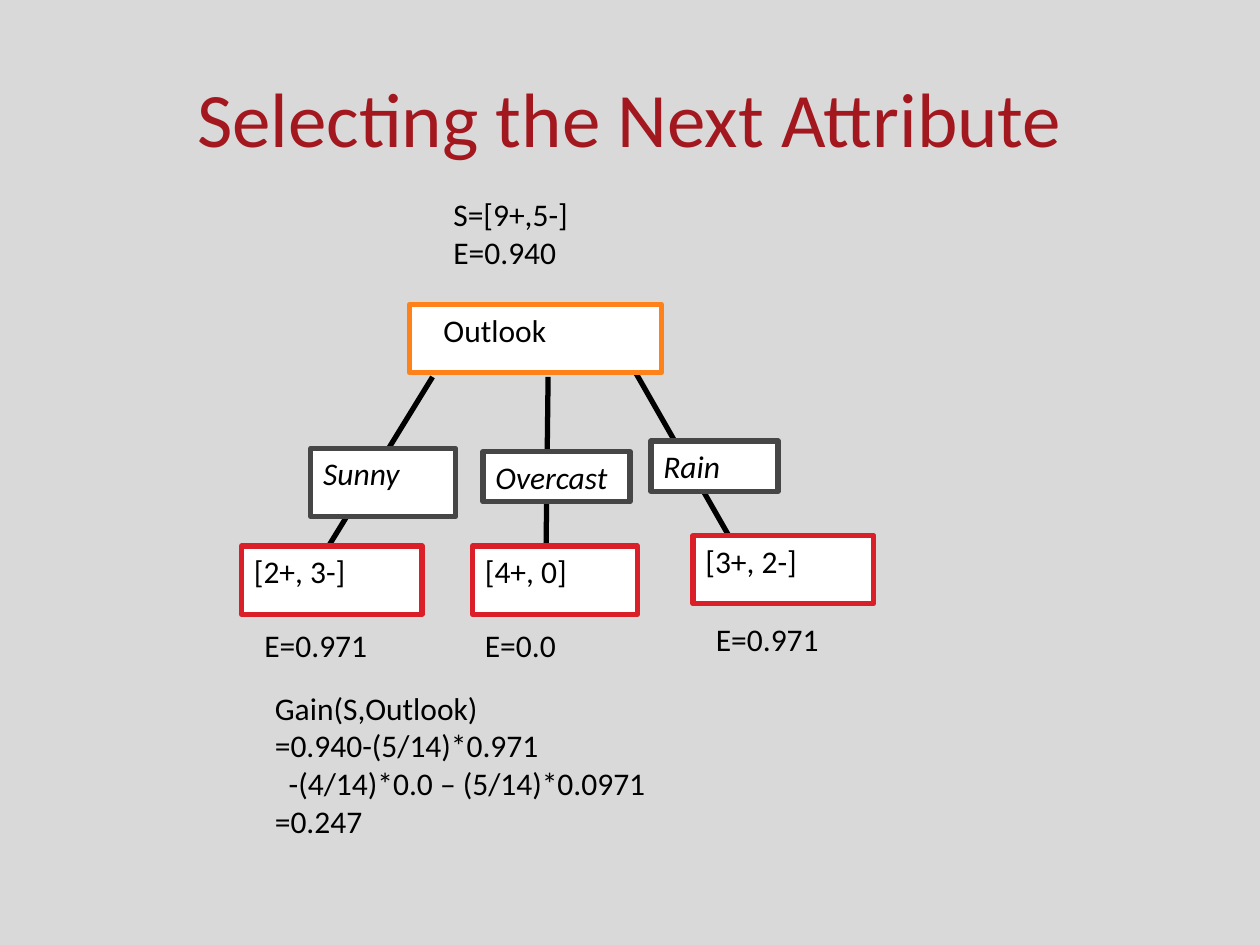
from pptx import Presentation
from pptx.dml.color import RGBColor
from pptx.enum.shapes import MSO_CONNECTOR, MSO_SHAPE
from pptx.enum.text import MSO_ANCHOR, PP_ALIGN
from pptx.oxml.ns import qn
from pptx.util import Inches, Pt
from lxml import etree

STRAIGHT = MSO_CONNECTOR.STRAIGHT
RECTANGLE = MSO_SHAPE.RECTANGLE
TOP, MIDDLE = MSO_ANCHOR.TOP, MSO_ANCHOR.MIDDLE
LEFT, CENTER = PP_ALIGN.LEFT, PP_ALIGN.CENTER
TITLE_ONLY = 5
FONT = "Calibri"
CELLS_PER_INCH = 12
NODE_HEIGHT, LABEL_HEIGHT = 6.5, 4.8
COLORS = {
    "background": "D9D9D9",
    "title": "A3171E",
    "text": "000000",
    "edge": "000000",
    "fill": "FFFFFF",
    "attribute": "FF8119",
    "value": "464646",
    "leaf": "DA1F28",
}
BRANCHES = [
    {
        "edge": (41.2, 35.9, 31.3, 52),
        "value": ("Sunny", (29.6, 42.7, 13.8, NODE_HEIGHT)),
        "leaf": ("[2+, 3-]", (23, 52, 17.2, NODE_HEIGHT)),
        "entropy": ("E=0.971", (24, 60, 18, 4.5), 0.7),
    },
    {
        "edge": (52.2, 35.9, 52, 53),
        "value": ("Overcast", (46, 43, 14, LABEL_HEIGHT)),
        "leaf": ("[4+, 0]", (45, 52, 15.7, NODE_HEIGHT)),
        "entropy": ("E=0.0", (45, 60, 18, 4.5), 0.7),
    },
    {
        "edge": (60.2, 34.9, 69.4, 51),
        "value": ("Rain", (62, 42, 12.1, LABEL_HEIGHT)),
        "leaf": ("[3+, 2-]", (66, 51, 17.2, NODE_HEIGHT)),
        "entropy": ("E=0.971", (67, 58.5, 18, 6), 1.0),
    },
]


def grid(*cells):
    """Turn grid columns and rows into slide lengths."""
    return [Inches(cell / CELLS_PER_INCH) for cell in cells]


def color(name):
    """Look up a named colour."""
    return RGBColor.from_string(COLORS[name])


def style(para, size=18, name="text", italic=False, align=LEFT):
    """Set the font and alignment of a paragraph."""
    para.alignment = align
    para.font.name = FONT
    para.font.size = Pt(size)
    para.font.italic = italic
    para.font.color.rgb = color(name)


def write(box, lines, italic=False, spacing=1.0):
    """Fill a box with lines of text from its top left corner."""
    frame = box.text_frame
    frame.word_wrap = True
    frame.vertical_anchor = TOP
    frame.text = "\n".join(lines)
    for para in frame.paragraphs:
        style(para, italic=italic)
        para.line_spacing = spacing
    return frame


def add_title(page, text):
    """Place the slide title."""
    title = page.shapes.title
    title.left, title.top, title.width, title.height = grid(6, 3.6, 108, 15)
    title.text_frame.text = text
    title.text_frame.vertical_anchor = MIDDLE
    style(title.text_frame.paragraphs[0], 44, "title", align=CENTER)


def add_edge(page, ends):
    """Draw one edge of the tree."""
    edge = page.shapes.add_connector(STRAIGHT, *grid(*ends))
    edge.line.width = Pt(3)
    edge.line.color.rgb = color("edge")
    etree.SubElement(edge._element.spPr, qn("a:effectLst"))


def add_node(page, kind, text, place):
    """Draw a framed node of the tree."""
    box = page.shapes.add_shape(RECTANGLE, *grid(*place))
    box.shadow.inherit = False
    box.fill.solid()
    box.fill.fore_color.rgb = color("fill")
    box.line.width = Pt(3)
    box.line.color.rgb = color(kind)
    return write(box, [text], italic=kind == "value")


def add_note(page, lines, place, spacing=1.0):
    """Place unframed text."""
    return write(page.shapes.add_textbox(*grid(*place)), lines, spacing=spacing)


def main():
    """Build the decision tree slide."""
    deck = Presentation()
    deck.slide_width, deck.slide_height = grid(120, 90)
    page = deck.slides.add_slide(deck.slide_layouts[TITLE_ONLY])
    page.background.fill.solid()
    page.background.fill.fore_color.rgb = color("background")
    add_title(page, "Selecting the Next Attribute")

    for branch in BRANCHES:
        add_edge(page, branch["edge"])
    root = add_node(page, "attribute", "Outlook", (39, 29, 24, NODE_HEIGHT))
    root.margin_left = Inches(0.27)
    for branch in BRANCHES:
        for kind in ("value", "leaf"):
            add_node(page, kind, *branch[kind])
        text, place, spacing = branch["entropy"]
        add_note(page, [text], place, spacing)

    add_note(page, ["S=[9+,5-]", "E=0.940"], (42, 18, 20.6, 10.8))
    gain = add_note(page, [
        "Gain(S,Outlook)",
        "=0.940-(5/14)*0.971",
        "-(4/14)*0.0 – (5/14)*0.0971",
        "=0.247",
    ], (25, 65, 55.4, 20.4))
    gain.paragraphs[2]._p.get_or_add_pPr().set("marL", str(Inches(0.11)))
    deck.save("out.pptx")


if __name__ == "__main__":
    main()
